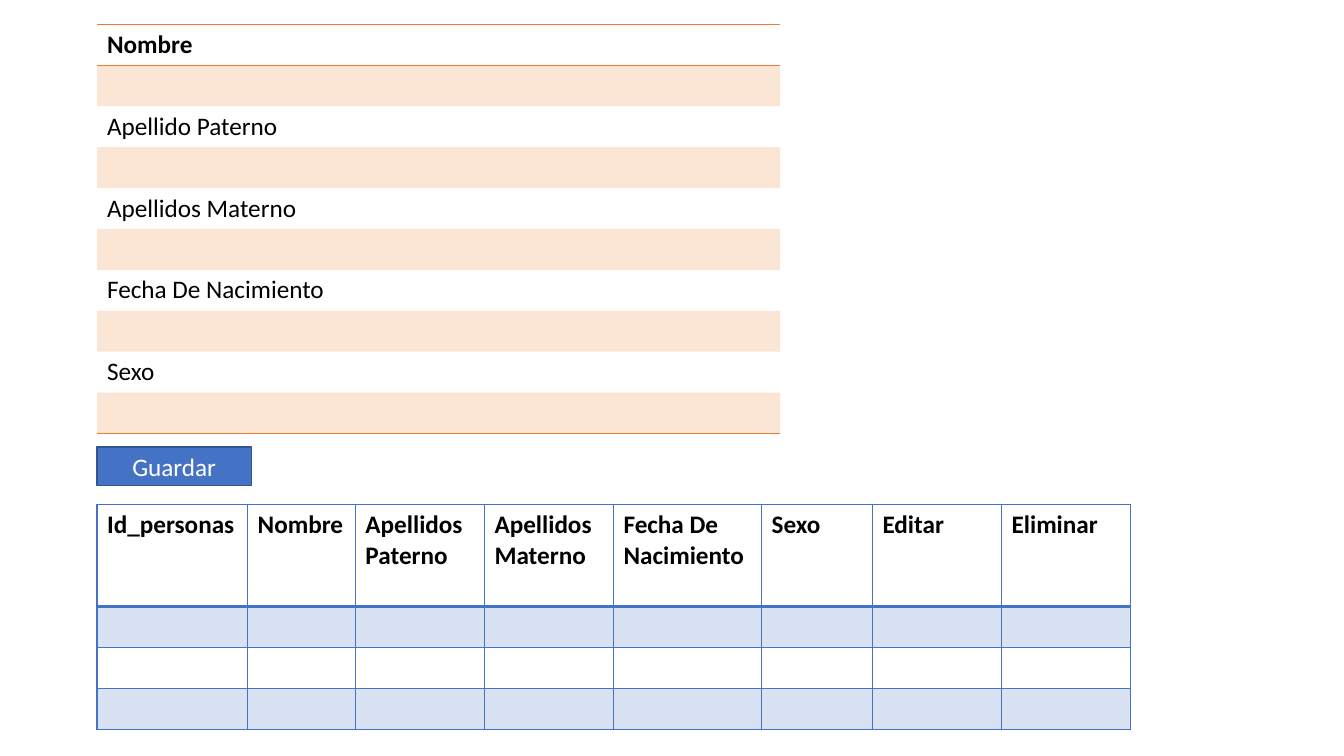
from lxml.etree import SubElement
from pptx import Presentation
from pptx.dml.color import RGBColor
from pptx.enum.shapes import MSO_SHAPE
from pptx.enum.text import MSO_ANCHOR, PP_ALIGN
from pptx.oxml.ns import qn
from pptx.util import Pt

BLUE, DARK_BLUE, ORANGE = "4472C4", "325491", "ED7D31"
BLACK, WHITE = "000000", "FFFFFF"
LEFT = 69.3
ROW_HEIGHT, HEADER_HEIGHT = 29.23, 72.9
THIN, THICK = 1, 2
NO_STYLE = "{2D5ABB26-0587-4C30-8999-92F81FD0307C}"


def style_text(paragraph, hex_code, bold=False):
    for run in paragraph.runs:
        run.font.name, run.font.size, run.font.bold = "Calibri", Pt(18), bold
        run.font.color.rgb = RGBColor.from_string(hex_code)


def style_cell(cell, hex_code, borders, tinted):
    """Rule the sides in borders (side: width) and tint the cell at 20 %."""
    properties = cell._tc.get_or_add_tcPr()
    for side in "LRTB":
        width = borders.get(side, 0)
        line = SubElement(properties, qn(f"a:ln{side}"), w=str(Pt(width)))
        if width:
            line_fill = SubElement(line, qn("a:solidFill"))
            SubElement(line_fill, qn("a:srgbClr"), val=hex_code)
        else:
            SubElement(line, qn("a:noFill"))
    if tinted:
        cell_fill = SubElement(properties, qn("a:solidFill"))
        tint = SubElement(cell_fill, qn("a:srgbClr"), val=hex_code)
        SubElement(tint, qn("a:alpha"), val="20000")
    else:
        SubElement(properties, qn("a:noFill"))


prs = Presentation()
prs.slide_width, prs.slide_height = Pt(960), Pt(540)
slide = prs.slides.add_slide(prs.slide_layouts[6])

# List of people: a tall header row and three empty rows
people_columns = {
    "Id_personas": 107.6, "Nombre": 77, "Apellidos Paterno": 92.2,
    "Apellidos Materno": 92.2, "Fecha De Nacimiento": 105.8,
    "Sexo": 79.2, "Editar": 92.2, "Eliminar": 92.2,
}
people_heights = [HEADER_HEIGHT] + 3 * [ROW_HEIGHT]
people = slide.shapes.add_table(
    len(people_heights), len(people_columns), Pt(LEFT), Pt(360.3),
    Pt(sum(people_columns.values())), Pt(sum(people_heights))).table
for column, width in zip(people.columns, people_columns.values()):
    column.width = Pt(width)
for r, (row, height) in enumerate(zip(people.rows, people_heights)):
    row.height = Pt(height)
    borders = dict.fromkeys("LRTB", THIN)
    if r == 0:
        borders["B"] = THICK
    elif r == 1:
        borders["T"] = THICK
    for cell in row.cells:
        style_cell(cell, BLUE, borders, tinted=r % 2 == 1)
for heading, cell in zip(people_columns, people.rows[0].cells):
    cell.text_frame.text = heading
    style_text(cell.text_frame.paragraphs[0], BLACK, bold=True)

# Entry form: each label is followed by an empty tinted field
labels = ["Nombre", "Apellido Paterno", "Apellidos Materno", "Fecha De Nacimiento", "Sexo"]
form_rows = 2 * len(labels)
form = slide.shapes.add_table(
    form_rows, 1, Pt(LEFT), Pt(17.4), Pt(488), Pt(form_rows * ROW_HEIGHT)).table
ruled_sides = {0: "TB", form_rows - 1: "B"}
for r, row in enumerate(form.rows):
    row.height = Pt(ROW_HEIGHT)
    borders = dict.fromkeys(ruled_sides.get(r, ""), THIN)
    style_cell(row.cells[0], ORANGE, borders, tinted=r % 2 == 1)
for i, label in enumerate(labels):
    label_cell = form.cell(2 * i, 0)
    label_cell.text_frame.text = label
    style_text(label_cell.text_frame.paragraphs[0], BLACK, bold=i == 0)

# Both tables carry only their own fills and borders
for table in (people, form):
    table.horz_banding = False
    table._tbl.tblPr.find(qn("a:tableStyleId")).text = NO_STYLE

# Save button
save_button = slide.shapes.add_shape(
    MSO_SHAPE.RECTANGLE, Pt(LEFT), Pt(319.2), Pt(110.2), Pt(27.4))
save_button.shadow.inherit = False
save_button.fill.solid()
save_button.fill.fore_color.rgb = RGBColor.from_string(BLUE)
save_button.line.color.rgb = RGBColor.from_string(DARK_BLUE)
save_button.line.width = Pt(THIN)
save_button.text_frame.text = "Guardar"
save_button.text_frame.vertical_anchor = MSO_ANCHOR.MIDDLE
caption = save_button.text_frame.paragraphs[0]
caption.alignment = PP_ALIGN.CENTER
style_text(caption, WHITE)

prs.save("out.pptx")
